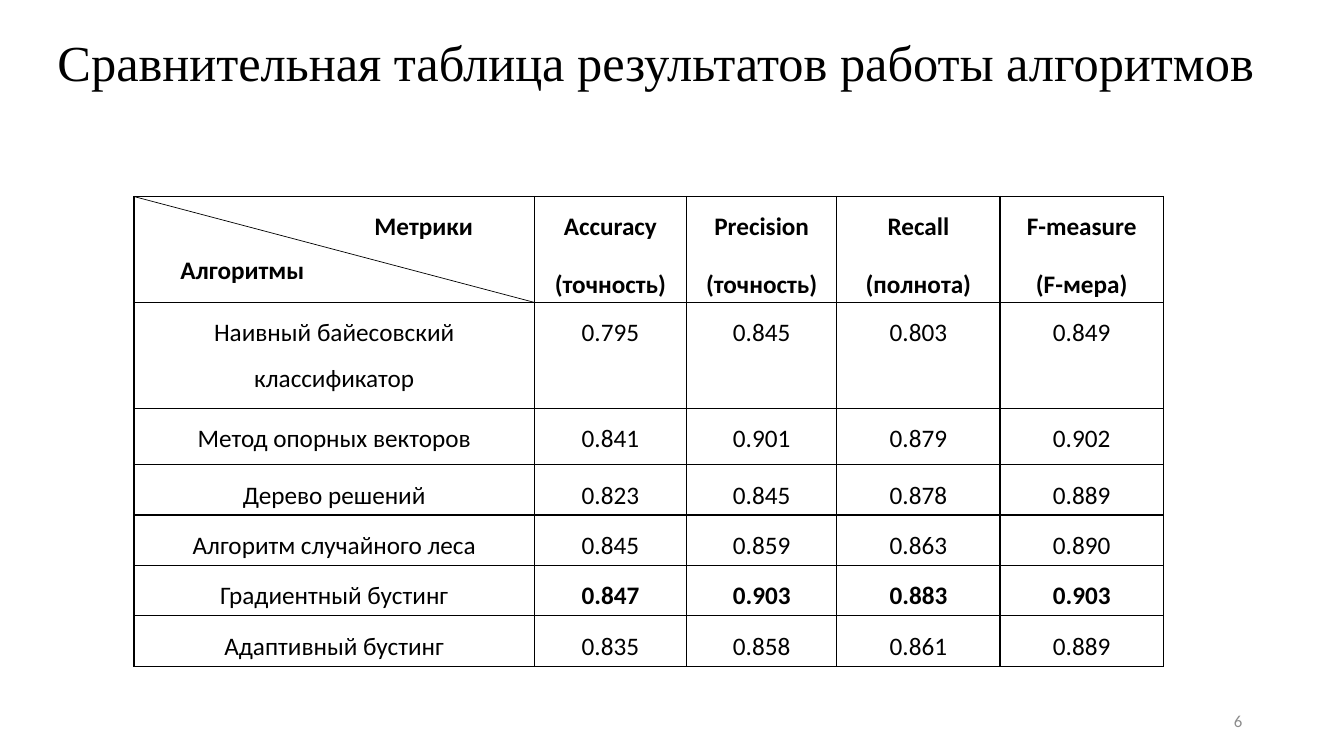
from lxml.etree import SubElement
from pptx import Presentation
from pptx.dml.color import RGBColor
from pptx.enum.shapes import MSO_CONNECTOR
from pptx.enum.text import MSO_ANCHOR, MSO_AUTO_SIZE, PP_ALIGN
from pptx.oxml.ns import qn
from pptx.util import Inches, Pt

# Content
TITLE = "Сравнительная таблица результатов работы алгоритмов"
COLUMN_AXIS, ROW_AXIS, PAGE_NUMBER = "Метрики", "Алгоритмы", "6"
METRICS = ["Accuracy\n(точность)", "Precision\n(точность)",
           "Recall\n(полнота)", "F-measure\n(F-мера)"]
RESULTS = [
    ("Наивный байесовский классификатор", "0.795", "0.845", "0.803", "0.849"),
    ("Метод опорных векторов", "0.841", "0.901", "0.879", "0.902"),
    ("Дерево решений", "0.823", "0.845", "0.878", "0.889"),
    ("Алгоритм случайного леса", "0.845", "0.859", "0.863", "0.890"),
    ("Градиентный бустинг", "0.847", "0.903", "0.883", "0.903"),
    ("Адаптивный бустинг", "0.835", "0.858", "0.861", "0.889"),
]
BEST_ALGORITHM = "Градиентный бустинг"

# Layout in inches
TABLE_LEFT, TABLE_TOP = 1.33, 1.95
COLUMN_WIDTHS = [3.97, 1.51, 1.49, 1.62, 1.62]
ROW_HEIGHTS = [1.05, 1.05, 0.56] + [0.5] * 4
CELL_MARGIN, COLUMN_AXIS_MARGIN = 0.07, 0.61

BLACK = RGBColor(0x00, 0x00, 0x00)
GRAY = RGBColor(0x8C, 0x8C, 0x8C)
TITLE_FONT = {"name": "Times New Roman", "size": Pt(36), "bold": False}
BODY_FONT = {"name": "Calibri", "size": Pt(18), "bold": False}
BOLD_FONT = {**BODY_FONT, "bold": True}
PAGE_FONT = {**BODY_FONT, "size": Pt(12)}
CELL_PARAGRAPH = {"line_spacing": 1.5, "space_after": Pt(8)}


def write(frame, text, font, color=BLACK, **paragraph_format):
    frame.text = text
    for paragraph in frame.paragraphs:
        for name, value in paragraph_format.items():
            setattr(paragraph, name, value)
        for run in paragraph.runs:
            for name, value in font.items():
                setattr(run.font, name, value)
            run.font.color.rgb = color


def add_borders(cell):
    properties = cell._tc.get_or_add_tcPr()
    for side in ("a:lnL", "a:lnR", "a:lnT", "a:lnB"):
        line = SubElement(properties, qn(side), w=str(Pt(1)))
        fill = SubElement(line, qn("a:solidFill"))
        SubElement(fill, qn("a:srgbClr"), val=str(BLACK))


presentation = Presentation()
presentation.slide_width, presentation.slide_height = Inches(13.33), Inches(7.5)
slide = presentation.slides.add_slide(presentation.slide_layouts[5])
shapes = slide.shapes

# Title
title = shapes.title
title.left, title.top, title.width, title.height = map(
    Inches, (0.47, -0.08, 13.19, 1.45))
write(title.text_frame, TITLE, TITLE_FONT, alignment=PP_ALIGN.LEFT, line_spacing=0.9)
title.text_frame.vertical_anchor = MSO_ANCHOR.MIDDLE
title.text_frame.auto_size = MSO_AUTO_SIZE.NONE

# Results table
rows = [(COLUMN_AXIS, *METRICS), *RESULTS]
table = shapes.add_table(
    len(rows), len(COLUMN_WIDTHS), Inches(TABLE_LEFT), Inches(TABLE_TOP),
    Inches(sum(COLUMN_WIDTHS)), Inches(sum(ROW_HEIGHTS))).table
table.first_row = table.horz_banding = False
for column, width in zip(table.columns, COLUMN_WIDTHS):
    column.width = Inches(width)
for row, height in zip(table.rows, ROW_HEIGHTS):
    row.height = Inches(height)
for row_index, values in enumerate(rows):
    for column_index, value in enumerate(values):
        cell = table.cell(row_index, column_index)
        cell.margin_left = cell.margin_right = Inches(CELL_MARGIN)
        cell.margin_top = cell.margin_bottom = 0
        add_borders(cell)
        cell.fill.background()
        best = values[0] == BEST_ALGORITHM and column_index > 0
        write(cell.text_frame, value, BOLD_FONT if row_index == 0 or best else BODY_FONT,
              alignment=PP_ALIGN.CENTER, **CELL_PARAGRAPH)

# Corner cell: column axis label, diagonal and row axis label
corner = table.cell(0, 0)
corner.margin_right = Inches(COLUMN_AXIS_MARGIN)
corner.text_frame.paragraphs[0].alignment = PP_ALIGN.RIGHT

diagonal = shapes.add_connector(
    MSO_CONNECTOR.STRAIGHT, Inches(TABLE_LEFT), Inches(TABLE_TOP),
    Inches(TABLE_LEFT + COLUMN_WIDTHS[0]), Inches(TABLE_TOP + ROW_HEIGHTS[0]))
diagonal.line.color.rgb = BLACK
diagonal.line.width = Pt(0.5)
SubElement(diagonal._element.spPr, qn("a:effectLst"))

row_axis = shapes.add_textbox(*map(Inches, (1.69, 2.47, 1.44, 0.4)))
write(row_axis.text_frame, ROW_AXIS, BOLD_FONT)
row_axis.text_frame.word_wrap = False

# Page number
page = shapes.add_textbox(*map(Inches, (9.42, 6.95, 3, 0.4)))
write(page.text_frame, PAGE_NUMBER, PAGE_FONT, GRAY, alignment=PP_ALIGN.RIGHT)
page.text_frame.word_wrap = True
page.text_frame.vertical_anchor = MSO_ANCHOR.MIDDLE

presentation.save("out.pptx")
